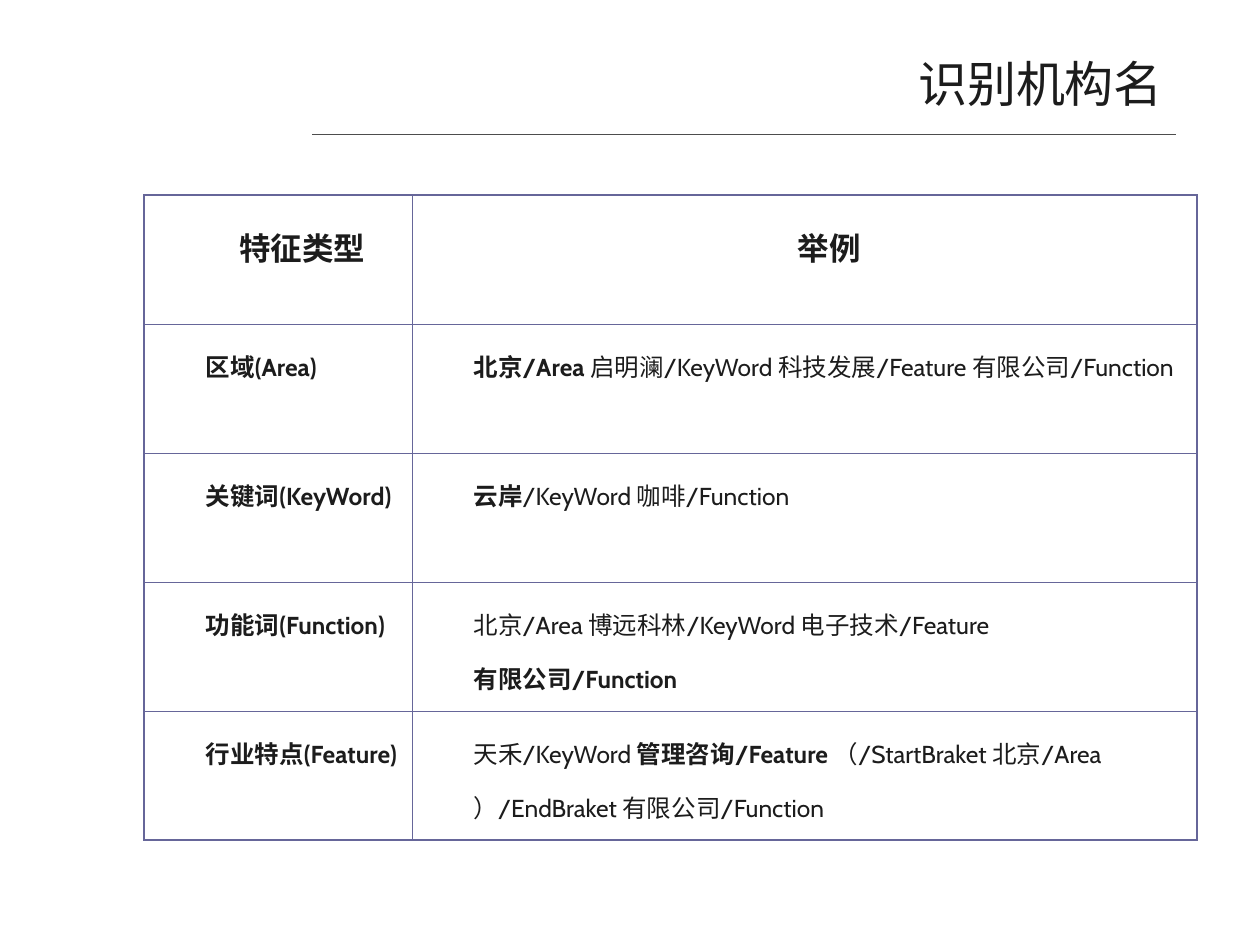
"""Build a slide with a table of features used to recognise organisation names."""
from pptx import Presentation, dml, util as u
from pptx.dml.color import RGBColor
from pptx.enum import lang, shapes, text
from pptx.oxml import parse_xml
from pptx.oxml.ns import nsdecls
from lxml import etree

INK = RGBColor(0x1C, 0x1C, 0x1C)
RULE = RGBColor(0x4D, 0x4D, 0x4D)
GRID = RGBColor(0x66, 0x66, 0x99)
FONT = "Cabin"
THICK, THIN = 1.08, 0.45
Pt = u.Pt


def write(par, words, size, bold):
    run = par.add_run()
    run.text = words
    look = {"name": FONT, "size": Pt(size), "bold": bold,
            "language_id": lang.MSO_LANGUAGE_ID.SIMPLIFIED_CHINESE}
    for key, val in look.items():
        setattr(run.font, key, val)
    run.font.color.rgb = INK


def edge(cell, sides):
    props = cell._tc.get_or_add_tcPr()
    for spot, (side, width) in enumerate(sides.items()):
        props.insert(spot, parse_xml(
            f'<a:ln{side} {nsdecls("a")} w="{int(Pt(width))}"><a:solidFill>'
            f'<a:srgbClr val="{GRID}"/></a:solidFill></a:ln{side}>'))


prs = Presentation()
prs.slide_width, prs.slide_height = Pt(720), Pt(540)
slide = prs.slides.add_slide(prs.slide_layouts[5])

title = slide.shapes.title
place = {"left": Pt(49.7), "top": Pt(25.2), "width": Pt(622), "height": Pt(44.6)}
for key, val in place.items():
    setattr(title, key, val)
title.text_frame.vertical_anchor = text.MSO_ANCHOR.MIDDLE
head = title.text_frame.paragraphs[0]
head.alignment = text.PP_ALIGN.RIGHT
write(head, "识别机构名", 28, False)

rule = slide.shapes.add_connector(
    shapes.MSO_CONNECTOR.STRAIGHT, Pt(178.5), Pt(77), Pt(672), Pt(77))
rule.line.color.rgb = RULE
rule.line.width = Pt(0.5)
etree.SubElement(rule._element.spPr,
                 "{http://schemas.openxmlformats.org/drawingml/2006/main}effectLst")

rows = [
    ("*特征类型*", "*举例*"),
    ("*区域(Area)*", "*北京/Area *启明澜/KeyWord 科技发展/Feature 有限公司/Function"),
    ("*关键词(KeyWord)*", "*云岸*/KeyWord 咖啡/Function"),
    ("*功能词(Function)*", "北京/Area 博远科林/KeyWord 电子技术/Feature *有限公司/Function*"),
    ("*行业特点(Feature)*",
     "天禾/KeyWord *管理咨询/Feature *（/StartBraket 北京/Area ）/EndBraket 有限公司/Function"),
]
last = len(rows) - 1
table = slide.shapes.add_table(
    len(rows), 2, Pt(82.3), Pt(111.6), Pt(601.9), Pt(368.5)).table
table.first_row = table.horz_banding = False
for col, width in zip(table.columns, (153.1, 448.8)):
    col.width = Pt(width)

for r, row in enumerate(rows):
    table.rows[r].height = Pt(73.7)
    for c, words in enumerate(row):
        cell = table.cell(r, c)
        cell.fill.background()
        edge(cell, {"L": THIN if c else THICK, "R": THICK if c else THIN,
                    "T": THIN if r else THICK, "B": THICK if r == last else THIN})
        par = cell.text_frame.paragraphs[0]
        par.alignment = text.PP_ALIGN.LEFT if r else text.PP_ALIGN.CENTER
        par.line_spacing = 1.5
        props = par._p.get_or_add_pPr()
        props.set("marL", str(int(Pt(28))))
        props.set("indent", "0")
        for k, part in enumerate(words.split("*")):
            if part:
                write(par, part, 14 if r else 18, k % 2 == 1)

prs.save("out.pptx")
